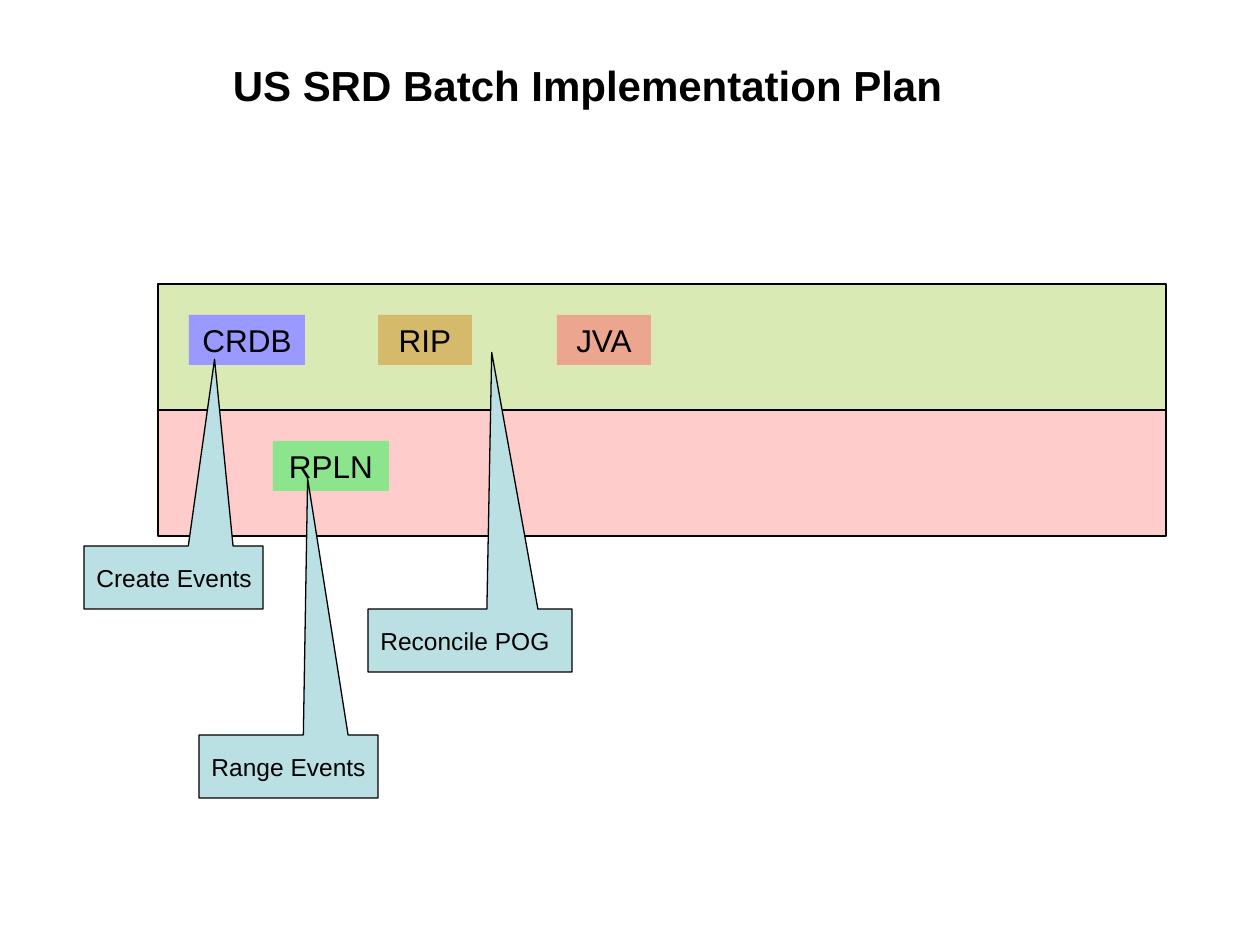
from dataclasses import dataclass
from typing import Any

from pptx import Presentation
from pptx.dml.color import RGBColor
from pptx.enum.shapes import MSO_SHAPE as Preset
from pptx.enum.text import MSO_ANCHOR as Anchor, PP_ALIGN as Align
from pptx.util import Pt

EMU_PER_PX = 914400 / 126
BLACK = RGBColor(0x00, 0x00, 0x00)
LIME = RGBColor(0xD9, 0xEA, 0xB4)
PINK = RGBColor(0xFF, 0xCC, 0xCC)
VIOLET = RGBColor(0x99, 0x99, 0xFF)
GREEN = RGBColor(0x8C, 0xE4, 0x8C)
GOLD = RGBColor(0xD6, 0xBA, 0x6C)
SALMON = RGBColor(0xEC, 0xA6, 0x90)
AQUA = RGBColor(0xBB, 0xE0, 0xE3)

LANE_LEFT, LANE_TOP, LANE_WIDTH, LANE_HEIGHT = 158, 284, 1008, 126
CHIP_OFFSET, CHIP_HEIGHT = 31, 50
CALLOUT_HEIGHT, LABEL_OFFSET, LABEL_HEIGHT = 63, 11, 43

LANES = [LIME, PINK]
CHIPS = [
    ("CRDB", 0, 189, 116, VIOLET),
    ("RPLN", 1, 273, 116, GREEN),
    ("RIP", 0, 378, 94, GOLD),
    ("JVA", 0, 557, 94, SALMON),
]
CALLOUTS = [
    ("Create Events", 84, 546, 179, 220, (0.23, -3.465)),
    ("Range Events", 199, 735, 179, 220, (0.107, -4.573)),
    ("Reconcile POG", 368, 609, 204, 252, (0.107, -4.573)),
]


def px(length):
    return round(length * EMU_PER_PX)


def write(shape, text, size, font="Arial", color=BLACK, bold=False, align=Align.LEFT):
    frame = shape.text_frame
    frame.word_wrap = True
    frame.vertical_anchor = Anchor.TOP
    para = frame.paragraphs[0]
    para.alignment = align
    span = para.add_run()
    span.text = text
    span.font.name = font
    span.font.size = Pt(size)
    span.font.bold = bold
    span.font.color.rgb = color


@dataclass
class Painter:
    page: Any
    title_size: int = 24
    chip_size: int = 18
    label_size: int = 14
    line_width: float = 0.75

    def shape(self, preset, left, top, width, height, fill, outlined=True):
        box = self.page.shapes.add_shape(preset, px(left), px(top), px(width), px(height))
        box.shadow.inherit = False
        box.fill.solid()
        box.fill.fore_color.rgb = fill
        if outlined:
            box.line.color.rgb = BLACK
            box.line.width = Pt(self.line_width)
        else:
            box.line.fill.background()
        return box

    def text(self, text, left, top, width, height, size, **style):
        box = self.page.shapes.add_textbox(px(left), px(top), px(width), px(height))
        write(box, text, size, **style)

    def title(self, text):
        self.text(text, 73, 53, 1029, 63, self.title_size, bold=True, align=Align.CENTER)

    def lane(self, row, fill):
        top = LANE_TOP + row * LANE_HEIGHT
        self.shape(Preset.RECTANGLE, LANE_LEFT, top, LANE_WIDTH, LANE_HEIGHT, fill)

    def chip(self, text, row, left, width, fill):
        top = LANE_TOP + row * LANE_HEIGHT + CHIP_OFFSET
        box = self.shape(Preset.RECTANGLE, left, top, width, CHIP_HEIGHT, fill, outlined=False)
        write(box, text, self.chip_size, align=Align.CENTER)

    def callout(self, text, left, top, width, label_width, tip):
        box = self.shape(Preset.RECTANGULAR_CALLOUT, left, top, width, CALLOUT_HEIGHT, AQUA)
        for index, value in enumerate(tip):
            box.adjustments[index] = value
        self.text(text, left, top + LABEL_OFFSET, label_width, LABEL_HEIGHT, self.label_size)


def main():
    deck = Presentation()
    deck.slide_width, deck.slide_height = px(1260), px(945)
    painter = Painter(deck.slides.add_slide(deck.slide_layouts[6]))
    painter.title("US SRD Batch Implementation Plan")
    for row, fill in enumerate(LANES):
        painter.lane(row, fill)
    for chip in CHIPS:
        painter.chip(*chip)
    for callout in CALLOUTS:
        painter.callout(*callout)
    deck.save("out.pptx")


if __name__ == "__main__":
    main()
